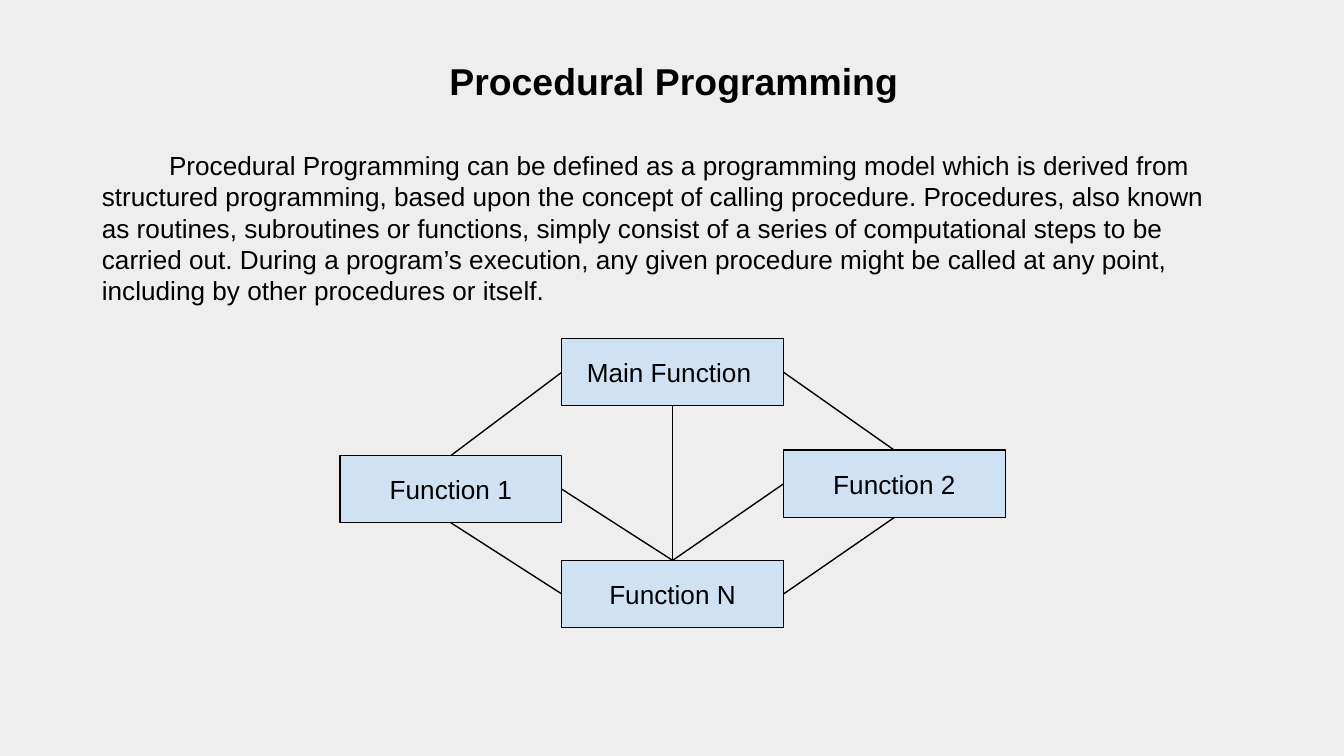
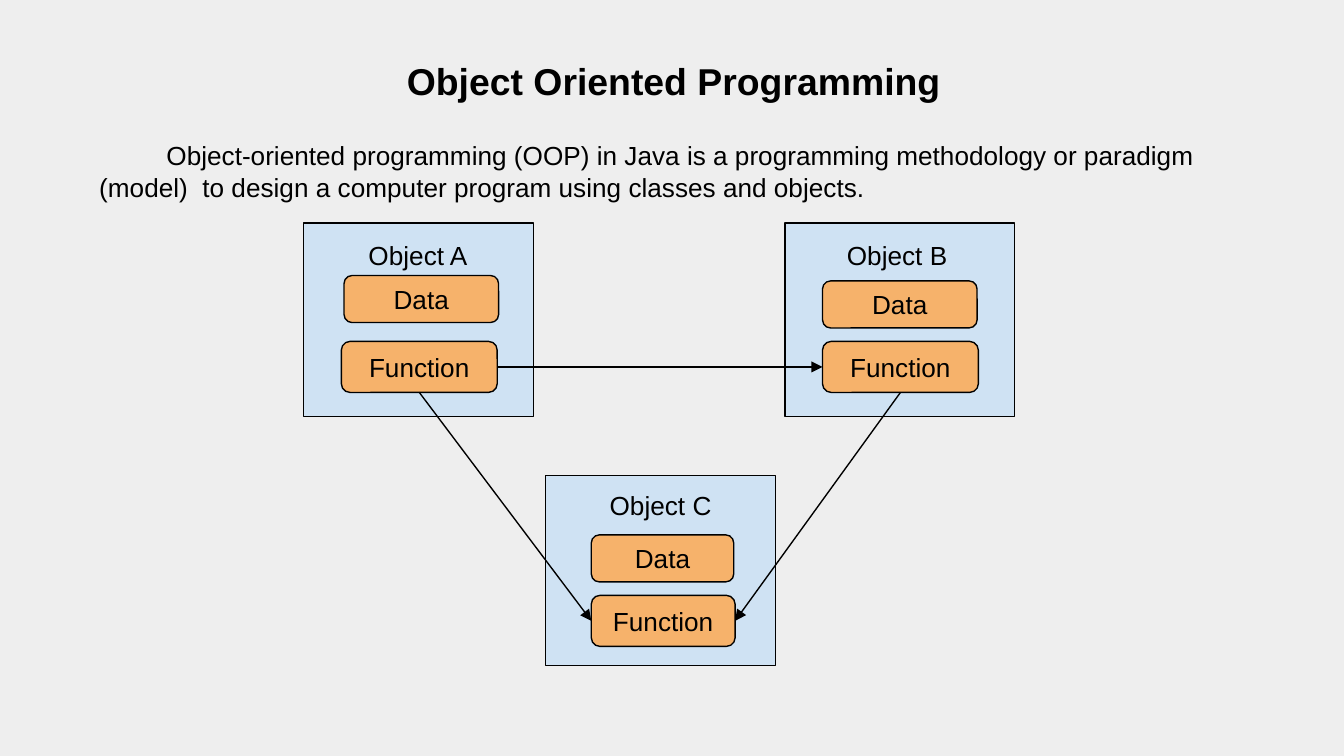
from dataclasses import dataclass

from lxml import etree
from pptx import Presentation
from pptx.dml.color import RGBColor
from pptx.enum.shapes import MSO_CONNECTOR, MSO_SHAPE
from pptx.enum.text import MSO_ANCHOR, MSO_AUTO_SIZE, PP_ALIGN
from pptx.oxml.ns import qn
from pptx.util import Inches, Pt

RECT = MSO_SHAPE.RECTANGLE
ROUND = MSO_SHAPE.ROUNDED_RECTANGLE
LINE = MSO_CONNECTOR.STRAIGHT
LEFT, CENTER = PP_ALIGN.LEFT, PP_ALIGN.CENTER
TOP_EDGE, MIDDLE = MSO_ANCHOR.TOP, MSO_ANCHOR.MIDDLE
GROW = MSO_AUTO_SIZE.SHAPE_TO_FIT_TEXT
N, W, S, E = range(4)


@dataclass(frozen=True)
class Theme:
    back: str = "EEEEEE"
    ink: str = "000000"
    blue: str = "CFE2F3"
    orange: str = "F6B26B"
    font: str = "Arial"
    title: int = 20
    body: int = 14
    stroke: float = 0.75
    inset: float = 0.1
    corner: float = 0.17


THEME = Theme()


def color(code):
    return RGBColor.from_string(code)


def write(frame, text, size=THEME.body, bold=False, align=CENTER,
          anchor=TOP_EDGE, indent=0):
    frame.word_wrap = True
    frame.vertical_anchor = anchor
    frame.margin_left = frame.margin_right = Inches(THEME.inset)
    frame.margin_top = frame.margin_bottom = Inches(THEME.inset)
    line = frame.paragraphs[0]
    line.alignment = align
    if indent:
        props = line._p.get_or_add_pPr()
        props.set("marL", "0")
        props.set("indent", str(Inches(indent)))
    run = line.add_run()
    run.text = text
    run.font.name = THEME.font
    run.font.size = Pt(size)
    run.font.bold = bold
    run.font.color.rgb = color(THEME.ink)


def label(slide, box, text, **style):
    frame = slide.shapes.add_textbox(*map(Inches, box)).text_frame
    write(frame, text, **style)
    frame.auto_size = GROW


def block(slide, box, fill, text="", kind=RECT):
    shape = slide.shapes.add_shape(kind, *map(Inches, box))
    shape.shadow.inherit = False
    shape.fill.solid()
    shape.fill.fore_color.rgb = color(fill)
    shape.line.color.rgb = color(THEME.ink)
    shape.line.width = Pt(THEME.stroke)
    if kind == ROUND:
        shape.adjustments[0] = THEME.corner
    if text:
        write(shape.text_frame, text, anchor=MIDDLE)
    return shape


def link(slide, start, exit_side, end, entry_side, arrow=False):
    line = slide.shapes.add_connector(LINE, 0, 0, 0, 0)
    line.begin_connect(start, exit_side)
    line.end_connect(end, entry_side)
    line.line.color.rgb = color(THEME.ink)
    line.line.width = Pt(THEME.stroke)
    if arrow:
        tip = etree.SubElement(line.line._get_or_add_ln(), qn("a:tailEnd"))
        tip.set("type", "triangle")
    etree.SubElement(line._element.spPr, qn("a:effectLst"))


def page(deck, title, body, box):
    slide = deck.slides.add_slide(deck.slide_layouts[6])
    slide.background.fill.solid()
    slide.background.fill.fore_color.rgb = color(THEME.back)
    label(slide, (0.33, 0.33, 9.37, 0.54), title, size=THEME.title, bold=True)
    label(slide, box, body, align=LEFT, indent=0.5)
    return slide


def call_graph(slide, left, top):
    wide, high = 1.65, 0.5

    def node(text, column, drop):
        box = (left + column * wide, top + drop, wide, high)
        return block(slide, box, THEME.blue, text)

    main_box = node("Main Function ", 1, 0)
    first = node("Function 1", 0, 0.87)
    second = node("Function 2", 2, 0.83)
    last = node("Function N", 1, 1.65)
    for side, inner, box in ((W, E, first), (E, W, second)):
        link(slide, main_box, side, box, N)
        link(slide, box, inner, last, N)
        link(slide, last, side, box, S)
    link(slide, main_box, S, last, N)


def object_card(slide, box, name, head, data, method):
    left, top, wide, high = box
    block(slide, box, THEME.blue)

    def place(spot, tall):
        across, down, span = spot
        return left + across, top + down, span, tall

    label(slide, place(head, 0.44), name)
    block(slide, place(data, 0.35), THEME.orange, "Data", ROUND)
    return block(slide, place(method, 0.38), THEME.orange, "Function", ROUND)


def object_map(slide, left, top):
    wide, high = 1.71, 1.44
    first = object_card(slide, (left, top, wide, high), "Object A",
                        (-0.01, 0.02, 1.72), (0.3, 0.39, 1.15),
                        (0.28, 0.88, 1.16))
    second = object_card(slide, (left + 3.58, top, wide, high), "Object B",
                         (0.01, 0.02, 1.65), (0.28, 0.43, 1.15),
                         (0.28, 0.88, 1.16))
    third = object_card(slide, (left + 1.8, top + 1.88, wide, 1.41),
                        "Object C", (0.03, 0, 1.65), (0.34, 0.44, 1.06),
                        (0.34, 0.89, 1.07))
    link(slide, first, S, third, W, arrow=True)
    link(slide, second, S, third, E, arrow=True)
    link(slide, first, E, second, W, arrow=True)


def main():
    deck = Presentation()
    deck.slide_width = Inches(10)
    deck.slide_height = Inches(10 * 9 / 16)
    slide = page(
        deck, "Procedural Programming",
        "Procedural Programming can be defined as a programming model which "
        "is derived from structured programming, based upon the concept of "
        "calling procedure. Procedures, also known as routines, subroutines "
        "or functions, simply consist of a series of computational steps to "
        "be carried out. During a program’s execution, any given procedure "
        "might be called at any point, including by other procedures or "
        "itself.", (0.66, 1.01, 8.6, 1.38))
    call_graph(slide, 2.53, 2.52)
    slide = page(
        deck, "Object Oriented Programming",
        "Object-oriented programming (OOP) in Java is a programming "
        "methodology or paradigm (model)  to design a computer program using "
        "classes and objects.", (0.64, 0.94, 8.6, 0.67))
    object_map(slide, 2.26, 1.66)
    deck.save("out.pptx")


if __name__ == "__main__":
    main()
